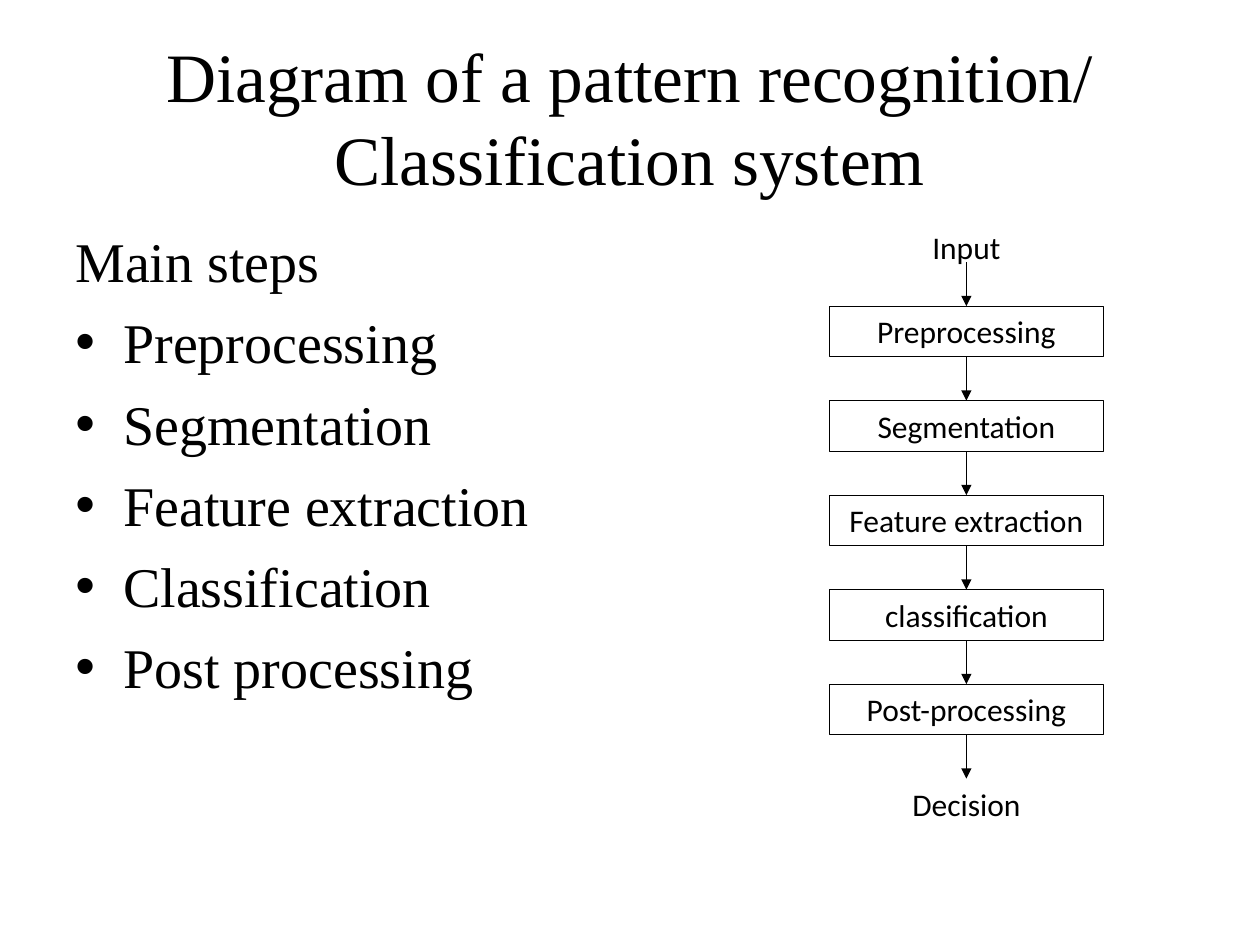
import pptx
import pptx.dml.color
import pptx.enum.shapes
import pptx.enum.text
import pptx.oxml.ns
import pptx.util
from lxml import etree
from pptx.util import Inches

BLACK = pptx.dml.color.RGBColor(0, 0, 0)
WHITE = pptx.dml.color.RGBColor(255, 255, 255)
SERIF = "Times New Roman"
SANS = "Calibri"
CENTER = pptx.enum.text.PP_ALIGN.CENTER
MIDDLE = pptx.enum.text.MSO_ANCHOR.MIDDLE
TOP = pptx.enum.text.MSO_ANCHOR.TOP
qn = pptx.oxml.ns.qn


class FlowSlide:
    """Draw the titles, lists, boxes and arrows of one slide in a shared style."""

    def __init__(self, slide):
        self.slide = slide
        self.shapes = slide.shapes
        slide.background.fill.solid()
        slide.background.fill.fore_color.rgb = WHITE

    def style(self, paragraph, font, size, align=None):
        paragraph.font.name = font
        paragraph.font.size = pptx.util.Pt(size)
        paragraph.font.color.rgb = BLACK
        paragraph.alignment = align

    def text(self, words, left, top, width, height, font=SANS, size=18, anchor=TOP):
        label = self.shapes.add_textbox(
            Inches(left), Inches(top), Inches(width), Inches(height))
        frame = label.text_frame
        frame.word_wrap = True
        frame.vertical_anchor = anchor
        frame.text = words
        self.style(frame.paragraphs[0], font, size, CENTER)

    def bullets(self, heading, items, left, top, width, height):
        body = self.shapes.add_textbox(
            Inches(left), Inches(top), Inches(width), Inches(height))
        frame = body.text_frame
        frame.word_wrap = True
        frame.text = "\n".join([heading, *items])
        for number, paragraph in enumerate(frame.paragraphs):
            self.style(paragraph, SERIF, 32)
            paragraph.space_before = pptx.util.Pt(8)
            properties = paragraph._p.get_or_add_pPr()
            properties.set("marL", str(Inches(0.38)))
            properties.set("indent", str(-Inches(0.38)))
            if number:
                etree.SubElement(properties, qn("a:buFont")).set("typeface", "Arial")
                etree.SubElement(properties, qn("a:buChar")).set("char", "•")
                properties.append(properties.find(qn("a:defRPr")))

    def box(self, words, left, top, width, height):
        step = self.shapes.add_shape(
            pptx.enum.shapes.MSO_SHAPE.RECTANGLE,
            Inches(left), Inches(top), Inches(width), Inches(height))
        step.shadow.inherit = False
        step.fill.background()
        step.line.color.rgb = BLACK
        step.line.width = pptx.util.Pt(0.25)
        frame = step.text_frame
        frame.word_wrap = True
        frame.vertical_anchor = MIDDLE
        frame.text = words
        self.style(frame.paragraphs[0], SANS, 18, CENTER)
        return step

    def arrow(self, x, start, end, source=None, target=None):
        link = self.shapes.add_connector(
            pptx.enum.shapes.MSO_CONNECTOR.STRAIGHT,
            Inches(x), Inches(start), Inches(x), Inches(end))
        if source is not None:
            link.begin_connect(source, 2)
        if target is not None:
            link.end_connect(target, 0)
        link.line.color.rgb = BLACK
        link.line.width = pptx.util.Pt(0.75)
        etree.SubElement(link.line._get_or_add_ln(), qn("a:tailEnd")).set("type", "triangle")
        etree.SubElement(link._element.spPr, qn("a:effectLst"))


def main():
    deck = pptx.Presentation()
    deck.slide_width, deck.slide_height = Inches(10), Inches(7.5)
    page = FlowSlide(deck.slides.add_slide(deck.slide_layouts[6]))

    page.text("Diagram of a pattern recognition/ Classification system",
              0.5, 0.3, 9, 1.25, SERIF, 39.6, MIDDLE)
    page.bullets("Main steps",
                 ["Preprocessing", "Segmentation", "Feature extraction",
                  "Classification", "Post processing"],
                 0.5, 1.75, 9, 4.95)

    center, first_top, pitch = 7.67, 2.43, 0.75
    box_width, box_height, label_width = 2.17, 0.4, 2
    step_names = ["Preprocessing", "Segmentation", "Feature extraction",
                  "classification", "Post-processing"]
    tops = [first_top + pitch * row for row in range(len(step_names) + 1)]
    steps = [page.box(name, center - box_width / 2, top, box_width, box_height)
             for name, top in zip(step_names, tops)]
    for name, top in (("Input", 1.76), ("Decision", tops[-1])):
        page.text(name, center - label_width / 2, top, label_width, box_height)
    for top, source, target in zip(tops, [None, *steps], [*steps, None]):
        page.arrow(center, top - pitch + box_height, top, source, target)

    deck.save("out.pptx")


if __name__ == "__main__":
    main()
